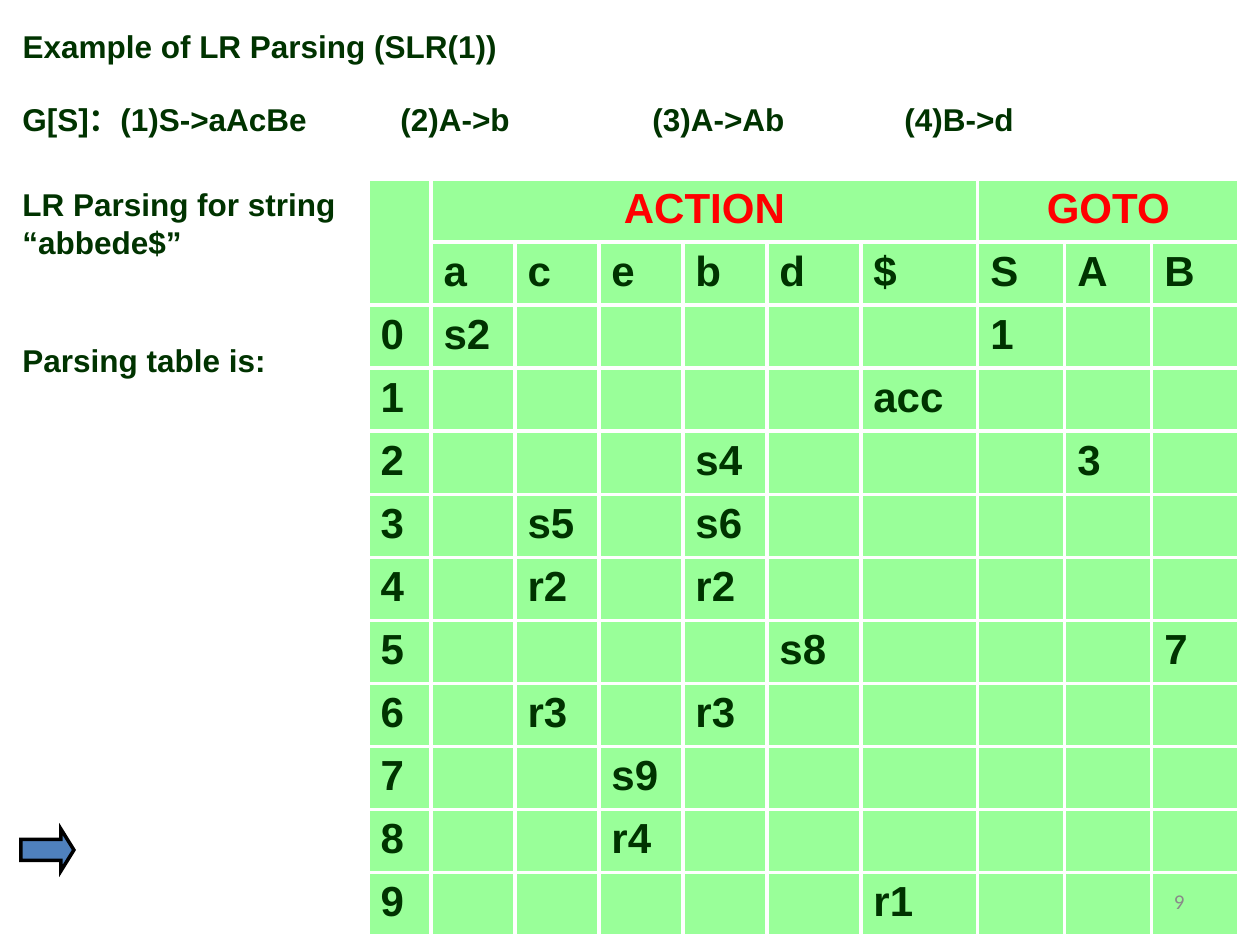
"""Build the SLR(1) parsing example slide with its ACTION and GOTO table."""
from lxml.etree import SubElement
from pptx import Presentation
from pptx.dml.color import RGBColor
from pptx.enum.shapes import MSO_SHAPE as Shape
from pptx.enum.text import MSO_ANCHOR as Anchor, PP_ALIGN as Align
from pptx.oxml.ns import qn
from pptx.util import Emu, Pt

SCALE = 914400 // 126
INK, RED, GREEN, WHITE = "003300", "FF0000", "99FF99", "FFFFFF"

TITLE = ("Example of LR Parsing (SLR(1))", (10, 21, 703, 63))
GRAMMAR = ("G[S]：(1)S->aAcBe\t(2)A->b\t(3)A->Ab\t(4)B->d", (10, 94, 1218, 50))
NOTES = [
    ("LR Parsing for string “abbede$”", (10, 179, 368, 113)),
    ("Parsing table is:", (10, 335, 349, 63)),
]
TAB_STOPS = [378, 630, 882]
PAGE_NUMBER = ("9", (903, 876, 294, 50))
ARROW = (21, 829, 53, 42)

TABLE_LEFT, TABLE_TOP, ROW_HEIGHT = 368, 179, 63
COLUMN_WIDTHS = [63, 84, 84, 84, 84, 94, 117, 87, 87, 87]
GROUPS = [("ACTION", 1, 6), ("GOTO", 7, 9)]
SYMBOLS = ["a", "c", "e", "b", "d", "$", "S", "A", "B"]
STATES = [
    {"a": "s2", "S": "1"},
    {"$": "acc"},
    {"b": "s4", "A": "3"},
    {"c": "s5", "b": "s6"},
    {"c": "r2", "b": "r2"},
    {"d": "s8", "B": "7"},
    {"c": "r3", "b": "r3"},
    {"e": "s9"},
    {"e": "r4"},
    {"$": "r1"},
]


def px(value):
    return Emu(value * SCALE)


def color(value):
    return RGBColor.from_string(value)


def write(frame, text, size=18, ink=INK, bold=True, font="Arial", align=Align.LEFT):
    para = frame.paragraphs[0]
    para.alignment = align
    span = para.add_run()
    span.text = text
    span.font.name, span.font.size, span.font.bold = font, Pt(size), bold
    span.font.color.rgb = color(ink)
    return para


def add_text(page, text, place, anchor=Anchor.TOP, **style):
    box = page.shapes.add_textbox(*map(px, place))
    box.text_frame.word_wrap = True
    box.text_frame.vertical_anchor = anchor
    return write(box.text_frame, text, **style)


def add_title(page):
    text, place = TITLE
    title = page.shapes.title
    title.left, title.top, title.width, title.height = map(px, place)
    title.text_frame.vertical_anchor = Anchor.TOP
    write(title.text_frame, text)


def add_grammar(page):
    para = add_text(page, *GRAMMAR)
    stops = SubElement(para._p.get_or_add_pPr(), qn("a:tabLst"))
    for stop in TAB_STOPS:
        SubElement(stops, qn("a:tab"), pos=str(px(stop)), algn="l")


def style_cell(cell):
    properties = cell._tc.get_or_add_tcPr()
    for side in ("lnL", "lnR", "lnT", "lnB"):
        border = SubElement(properties, qn(f"a:{side}"), w=str(Pt(2.25)))
        SubElement(SubElement(border, qn("a:solidFill")), qn("a:srgbClr"), val=WHITE)
    cell.fill.solid()
    cell.fill.fore_color.rgb = color(GREEN)


def add_parsing_table(page):
    rows = [[""] * len(COLUMN_WIDTHS), ["", *SYMBOLS]]
    rows += [[str(state), *(moves.get(symbol, "") for symbol in SYMBOLS)]
             for state, moves in enumerate(STATES)]
    for name, first, _ in GROUPS:
        rows[0][first] = name
    table = page.shapes.add_table(
        len(rows), len(COLUMN_WIDTHS), px(TABLE_LEFT), px(TABLE_TOP),
        px(sum(COLUMN_WIDTHS)), px(ROW_HEIGHT * len(rows))).table
    table.first_row = table.horz_banding = False
    for column, width in zip(table.columns, COLUMN_WIDTHS):
        column.width = px(width)
    for r, texts in enumerate(rows):
        table.rows[r].height = px(ROW_HEIGHT)
        heading = {"ink": RED, "align": Align.CENTER} if r == 0 else {}
        for c, text in enumerate(texts):
            cell = table.cell(r, c)
            style_cell(cell)
            if text:
                write(cell.text_frame, text, size=24, **heading)
    table.cell(0, 0).merge(table.cell(1, 0))
    for _, first, last in GROUPS:
        table.cell(0, first).merge(table.cell(0, last))


def add_arrow(page):
    arrow = page.shapes.add_shape(Shape.RIGHT_ARROW, *map(px, ARROW))
    arrow.adjustments[1] = 0.31
    arrow.shadow.inherit = False
    arrow.fill.solid()
    arrow.fill.fore_color.rgb = color("4F81BD")
    arrow.line.color.rgb = color("000000")
    arrow.line.width = Pt(2)
    SubElement(arrow.line._get_or_add_ln(), qn("a:miter"), lim="800000")


def main():
    deck = Presentation()
    deck.slide_width, deck.slide_height = px(1260), px(945)
    page = deck.slides.add_slide(deck.slide_layouts[5])
    add_title(page)
    add_grammar(page)
    add_parsing_table(page)
    for text, place in NOTES:
        add_text(page, text, place)
    add_arrow(page)
    add_text(page, *PAGE_NUMBER, anchor=Anchor.MIDDLE, size=12, ink="898989",
             bold=False, font="Calibri", align=Align.RIGHT)
    deck.save("out.pptx")


if __name__ == "__main__":
    main()
